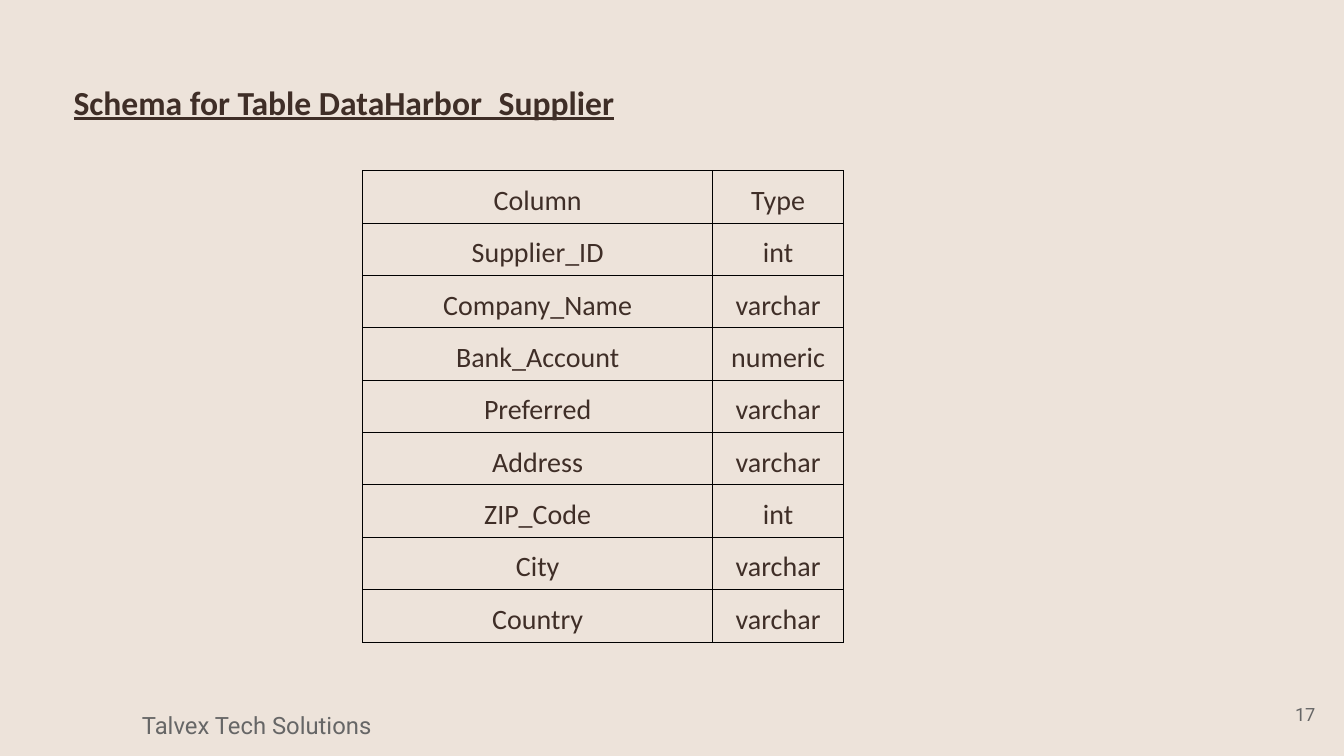
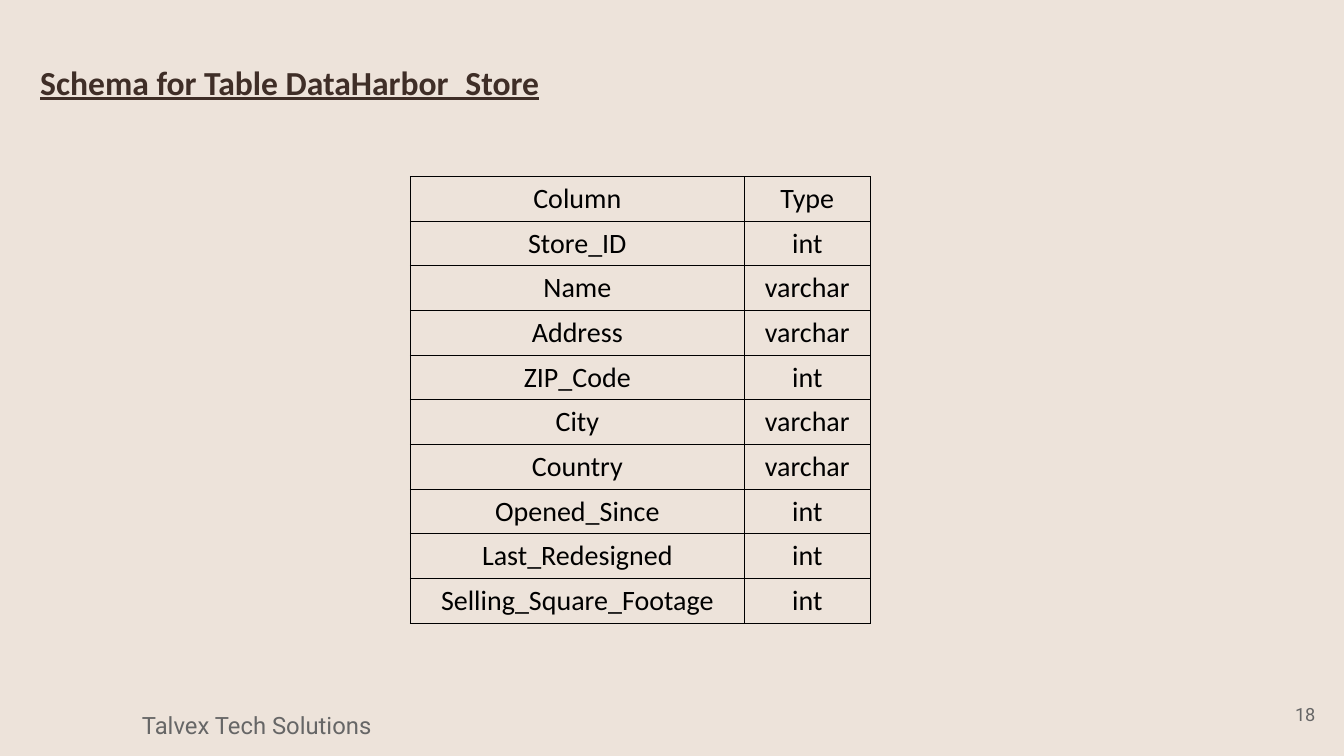
from dataclasses import dataclass

from lxml.etree import SubElement
from pptx import Presentation
from pptx.dml.color import RGBColor
from pptx.enum.text import MSO_ANCHOR as Anchor, MSO_AUTO_SIZE as AutoSize, PP_ALIGN as Align
from pptx.oxml.ns import qn
from pptx.slide import Slide
from pptx.table import _Cell as Cell
from pptx.text.text import TextFrame
from pptx.util import Cm, Pt


@dataclass(frozen=True)
class Theme:
    background: str = "EDE3DA"
    brown: str = "3F2E27"
    black: str = "000000"
    grey: str = "666666"
    main_font: str = "Calibri"
    footer_font: str = "Roboto"
    title_size: int = 24
    table_size: int = 20
    footer_size: int = 17
    number_size: int = 13
    border_width: float = 0.75


@dataclass(frozen=True)
class Box:
    """Position and size in centimetres."""
    left: float
    top: float
    width: float
    height: float


@dataclass(frozen=True)
class Schema:
    """One schema slide; lengths are in centimetres."""
    number: int
    table_name: str
    title_box: Box
    table_left: float
    table_top: float
    column_widths: tuple[float, float]
    row_height: float
    text_color: str
    fields: dict[str, str]


THEME = Theme()
COMPANY = "Talvex Tech Solutions"
FOOTER_BOX = Box(0.36, 17.86, 12.22, 1.04)
NUMBER_BOX = Box(31.37, 17.27, 2.03, 1.45)
CELL_FORMAT = {
    "margin_left": Cm(0.2), "margin_right": Cm(0.2),
    "margin_top": Cm(0.13), "margin_bottom": Cm(0.13),
    "vertical_anchor": Anchor.BOTTOM,
}

SCHEMAS = (
    Schema(
        17, "DataHarbor_Supplier", Box(1.6, 1.63, 29.21, 1.88),
        9.14, 4.3, (8.82, 3.3), 1.32, THEME.brown,
        {
            "Supplier_ID": "int",
            "Company_Name": "varchar",
            "Bank_Account": "numeric",
            "Preferred": "varchar",
            "Address": "varchar",
            "ZIP_Code": "int",
            "City": "varchar",
            "Country": "varchar",
        },
    ),
    Schema(
        18, "DataHarbor_Store", Box(0.76, 1.12, 29.21, 1.88),
        10.34, 4.45, (8.42, 3.17), 1.12, THEME.black,
        {
            "Store_ID": "int",
            "Name": "varchar",
            "Address": "varchar",
            "ZIP_Code": "int",
            "City": "varchar",
            "Country": "varchar",
            "Opened_Since": "int",
            "Last_Redesigned": "int",
            "Selling_Square_Footage": "int",
        },
    ),
)


def apply_format(target: object, values: dict) -> None:
    for name, value in values.items():
        setattr(target, name, value)


def lengths(box: Box) -> dict[str, Cm]:
    return {side: Cm(getattr(box, side)) for side in ("left", "top", "width", "height")}


def write(frame: TextFrame, text: str, align: Align, color: str, **font_format) -> None:
    """Fill the frame's first paragraph with one formatted run."""
    paragraph = frame.paragraphs[0]
    paragraph.alignment = align
    run = paragraph.add_run()
    run.text = text
    apply_format(run.font, font_format)
    run.font.color.rgb = RGBColor.from_string(color)


def add_title(slide: Slide, schema: Schema) -> None:
    title = slide.shapes.title
    apply_format(title, lengths(schema.title_box))
    apply_format(title.text_frame, {
        "vertical_anchor": Anchor.MIDDLE, "auto_size": AutoSize.NONE, "word_wrap": True,
    })
    write(title.text_frame, f"Schema for Table {schema.table_name}", Align.LEFT, THEME.brown,
          name=THEME.main_font, size=Pt(THEME.title_size), bold=True, underline=True)


def add_borders(cell: Cell) -> None:
    properties = cell._tc.get_or_add_tcPr()
    for position, side in enumerate(("lnL", "lnR", "lnT", "lnB")):
        line = SubElement(properties, qn(f"a:{side}"), w=str(Pt(THEME.border_width)))
        fill = SubElement(line, qn("a:solidFill"))
        SubElement(fill, qn("a:srgbClr"), val=THEME.black)
        properties.insert(position, line)


def add_schema_table(slide: Slide, schema: Schema) -> None:
    rows = [("Column", "Type"), *schema.fields.items()]
    table = slide.shapes.add_table(
        len(rows), len(schema.column_widths),
        Cm(schema.table_left), Cm(schema.table_top),
        Cm(sum(schema.column_widths)), Cm(schema.row_height * len(rows)),
    ).table
    apply_format(table, {"first_row": False, "horz_banding": False})
    for column, width in zip(table.columns, schema.column_widths):
        column.width = Cm(width)
    for row, texts in zip(table.rows, rows):
        row.height = Cm(schema.row_height)
        for cell, text in zip(row.cells, texts):
            apply_format(cell, CELL_FORMAT)
            cell.fill.background()
            add_borders(cell)
            write(cell.text_frame, text, Align.CENTER, schema.text_color,
                  name=THEME.main_font, size=Pt(THEME.table_size))


def add_footer_text(slide: Slide, box: Box, text: str, size: int,
                    align: Align, anchor: Anchor) -> TextFrame:
    frame = slide.shapes.add_textbox(**lengths(box)).text_frame
    apply_format(frame, {"word_wrap": True, "vertical_anchor": anchor})
    write(frame, text, align, THEME.grey, name=THEME.footer_font, size=Pt(size))
    return frame


def add_footer(slide: Slide, number: int) -> None:
    add_footer_text(slide, NUMBER_BOX, str(number), THEME.number_size,
                    Align.RIGHT, Anchor.MIDDLE)
    company = add_footer_text(slide, FOOTER_BOX, COMPANY, THEME.footer_size,
                              Align.CENTER, Anchor.TOP)
    apply_format(company.paragraphs[0], {"line_spacing": 0.9, "space_after": Pt(16)})


def main() -> None:
    deck = Presentation()
    apply_format(deck, {"slide_width": Cm(33.87), "slide_height": Cm(19.05)})
    background = deck.slide_master.background.fill
    background.solid()
    background.fore_color.rgb = RGBColor.from_string(THEME.background)
    title_only = deck.slide_layouts.get_by_name("Title Only")
    for schema in SCHEMAS:
        slide = deck.slides.add_slide(title_only)
        add_title(slide, schema)
        add_schema_table(slide, schema)
        add_footer(slide, schema.number)
    deck.save("out.pptx")


if __name__ == "__main__":
    main()
